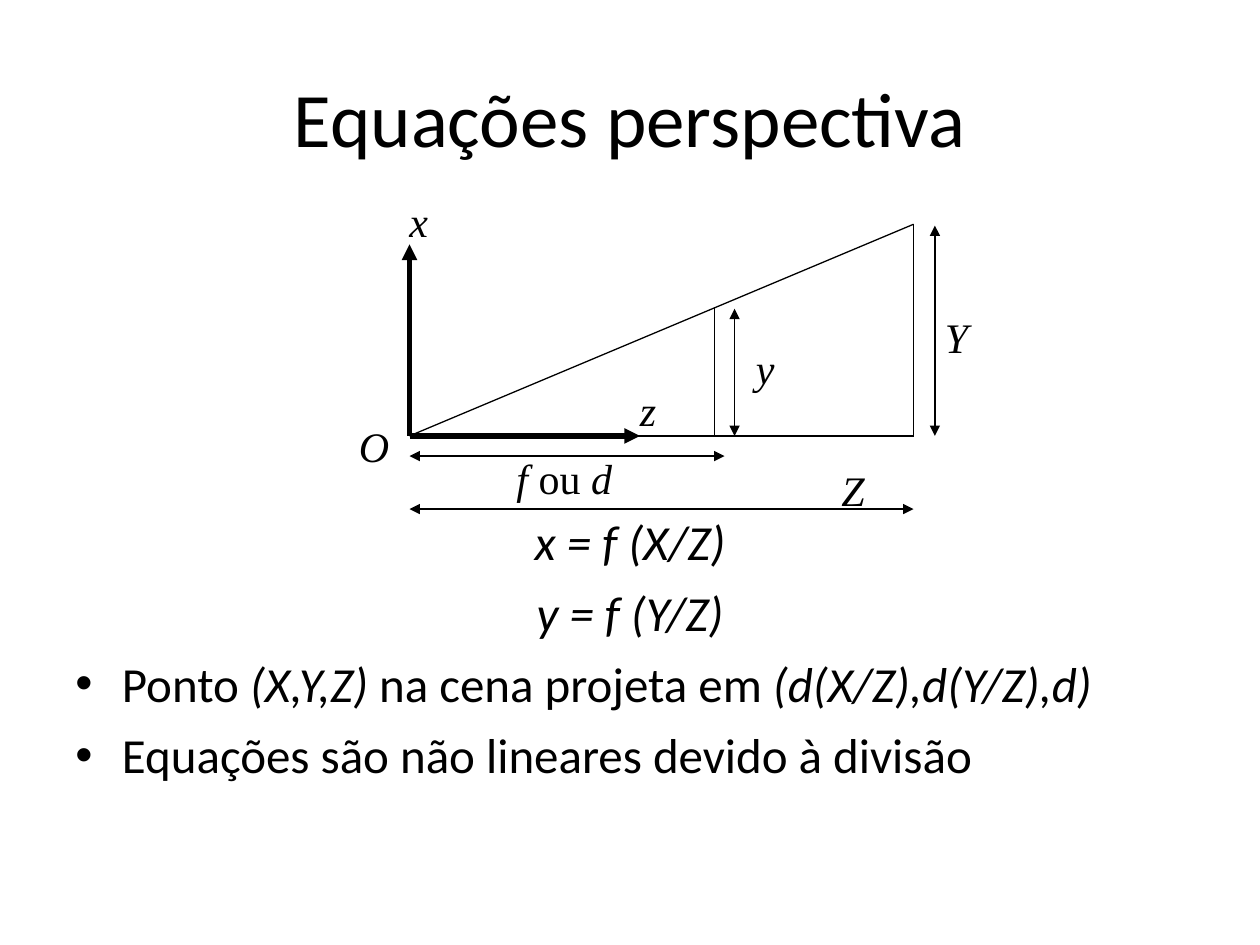
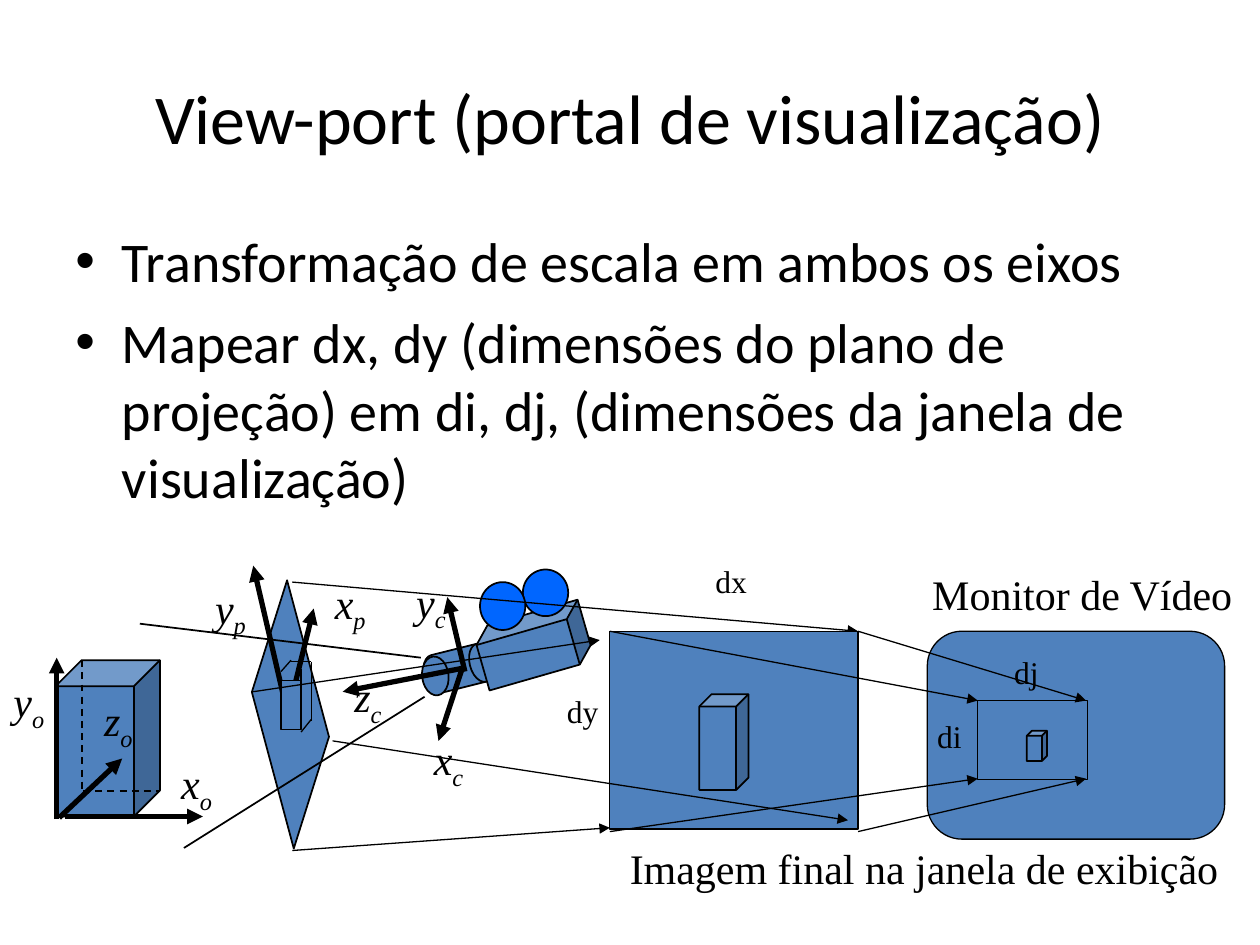
from dataclasses import dataclass
from typing import Union

import pptx
import pptx.dml.color
import pptx.enum.dml
import pptx.enum.shapes
import pptx.enum.text
import pptx.oxml.ns
import pptx.util
from lxml import etree

Inches = pptx.util.Inches
Pt = pptx.util.Pt
Kind = pptx.enum.shapes.MSO_SHAPE
Align = pptx.enum.text.PP_ALIGN
Anchor = pptx.enum.text.MSO_ANCHOR
qn = pptx.oxml.ns.qn

COLORS = {"ink": "000000", "solid": "4F81BD", "reel": "0066FF"}
SANS, SERIF = "Calibri", "Times New Roman"
THIN, EDGE, AXIS = 0.75, 1, 3


@dataclass(frozen=True)
class Span:
    text: str
    italic: bool = False
    subscript: bool = False


@dataclass(frozen=True)
class Line:
    x1: float
    y1: float
    x2: float
    y2: float
    weight: float = THIN
    head: bool = False
    tail: bool = False
    dashed: bool = False


@dataclass(frozen=True)
class Block:
    kind: Kind
    left: float
    top: float
    width: float
    height: float
    weight: float = EDGE
    fill: str = "solid"
    rotation: float = 0
    adjust: float | None = None
    flipped: bool = False


@dataclass(frozen=True)
class Label:
    left: float
    top: float
    width: float
    height: float
    spans: tuple[Span, ...]
    size: float = 24
    centered: bool = False


@dataclass(frozen=True)
class Entry:
    spans: tuple[Span, ...]
    bullet: bool = True


Item = Union[Line, Block, Label]


def color(name: str) -> pptx.dml.color.RGBColor:
    return pptx.dml.color.RGBColor.from_string(COLORS[name])


def write(paragraph, spans: tuple[Span, ...], face: str, size: float) -> None:
    font = paragraph.font
    font.name, font.size = face, Pt(size)
    font.color.rgb = color("ink")
    uniform = len({span.italic for span in spans}) == 1
    if uniform:
        font.italic = spans[0].italic
    for span in spans:
        run = paragraph.add_run()
        run.text = span.text
        if not uniform:
            run.font.italic = span.italic
        if span.subscript:
            run._r.get_or_add_rPr().set("baseline", "-25000")


def add_box(page, left: float, top: float, width: float, height: float):
    box = page.shapes.add_textbox(Inches(left), Inches(top), Inches(width), Inches(height))
    box.text_frame.word_wrap = True
    return box.text_frame


def add_title(page, text: str, size: float) -> None:
    frame = add_box(page, 0.5, 0.3, 9, 1.25)
    frame.vertical_anchor = Anchor.MIDDLE
    frame.paragraphs[0].alignment = Align.CENTER
    write(frame.paragraphs[0], (Span(text),), SANS, size)


def add_body(page, entries: list[Entry], top: float, size: float, gap: float) -> None:
    frame = add_box(page, 0.5, top, 9, 6.7 - top)
    for index, entry in enumerate(entries):
        paragraph = frame.add_paragraph() if index else frame.paragraphs[0]
        if index:
            paragraph.space_before = Pt(gap)
        if entry.bullet:
            properties = paragraph._p.get_or_add_pPr()
            properties.set("marL", str(Inches(0.37)))
            properties.set("indent", str(-Inches(0.37)))
            etree.SubElement(properties, qn("a:buFont")).set("typeface", "Arial")
            etree.SubElement(properties, qn("a:buChar")).set("char", "•")
        else:
            paragraph.alignment = Align.CENTER
        write(paragraph, entry.spans, SANS, size)


def draw_line(page, line: Line) -> None:
    ends = (Inches(value) for value in (line.x1, line.y1, line.x2, line.y2))
    connector = page.shapes.add_connector(pptx.enum.shapes.MSO_CONNECTOR.STRAIGHT, *ends)
    connector.line.color.rgb = color("ink")
    connector.line.width = Pt(line.weight)
    if line.dashed:
        connector.line.dash_style = pptx.enum.dml.MSO_LINE.DASH
    outline = connector.line._get_or_add_ln()
    for shown, tag in ((line.head, "a:headEnd"), (line.tail, "a:tailEnd")):
        if shown:
            etree.SubElement(outline, qn(tag)).set("type", "triangle")
    etree.SubElement(connector._element.spPr, qn("a:effectLst"))


def draw_block(page, block: Block) -> None:
    frame = (Inches(value) for value in (block.left, block.top, block.width, block.height))
    shape = page.shapes.add_shape(block.kind, *frame)
    shape.shadow.inherit = False
    shape.fill.solid()
    shape.fill.fore_color.rgb = color(block.fill)
    shape.line.color.rgb = color("ink")
    shape.line.width = Pt(block.weight)
    shape.rotation = block.rotation
    if block.adjust is not None:
        shape.adjustments[0] = block.adjust
    if block.flipped:
        shape._element.spPr.find(qn("a:xfrm")).set("flipV", "1")


def draw_label(page, label: Label) -> None:
    frame = add_box(page, label.left, label.top, label.width, label.height)
    frame.margin_right = 0
    if label.centered:
        frame.margin_left = 0
        frame.vertical_anchor = Anchor.MIDDLE
        frame.paragraphs[0].alignment = Align.CENTER
    write(frame.paragraphs[0], label.spans, SERIF, label.size)


def draw(page, items: list[Item]) -> None:
    painters = {Line: draw_line, Block: draw_block, Label: draw_label}
    for item in items:
        painters[type(item)](page, item)


def axis(x1: float, y1: float, x2: float, y2: float) -> Line:
    return Line(x1, y1, x2, y2, AXIS, tail=True)


def arrow(x1: float, y1: float, x2: float, y2: float) -> Line:
    return Line(x1, y1, x2, y2, tail=True)


def measure(x1: float, y1: float, x2: float, y2: float) -> Line:
    return Line(x1, y1, x2, y2, head=True, tail=True)


def symbol(left: float, top: float, width: float, letter: str) -> Label:
    return Label(left, top, width, 0.5, (Span(letter, True),))


def axis_name(left: float, top: float, letter: str, frame: str) -> Label:
    spans = (Span(letter, True), Span(frame, True, True))
    return Label(left, top, 0.44, 0.56, spans, centered=True)


def caption(left: float, top: float, width: float, text: str) -> Label:
    return Label(left, top, width, 0.5, (Span(text),))


def size_name(left: float, top: float, width: float, text: str) -> Label:
    return Label(left, top, width, 0.4, (Span(text),), size=18)


def build_equations(page) -> None:
    add_title(page, "Equações perspectiva", 44)
    point = (Span("Ponto "), Span("(X,Y,Z) ", True), Span("na cena projeta em"),
             Span(" (d(X/Z),d(Y/Z),d)", True))
    add_body(page, [
        Entry((Span("x = f (X/Z)", True),), bullet=False),
        Entry((Span("y = f (Y/Z)", True),), bullet=False),
        Entry(point),
        Entry((Span("Equações são não lineares devido à divisão"),)),
    ], top=4.01, size=28, gap=7)
    origin_x, base, image_x, object_x, object_top = 3.25, 3.46, 5.67, 7.25, 1.78
    draw(page, [
        Line(origin_x, base, object_x, base),
        Line(origin_x, base, object_x, object_top),
        Line(object_x, object_top, object_x, base),
        symbol(2.75, 3.29, 0.44, "O"),
        axis(origin_x, base, 5.08, base),
        axis(origin_x, base, origin_x, 1.94),
        symbol(6.58, 3.64, 0.38, "Z"),
        symbol(7.4, 2.42, 0.38, "Y"),
        Line(image_x, base, image_x, 2.44),
        measure(origin_x, 4.04, object_x, 4.04),
        measure(7.42, 1.79, 7.42, base),
        measure(5.83, 2.45, 5.83, base),
        symbol(5.9, 2.67, 0.35, "y"),
        measure(origin_x, 3.62, 5.75, 3.62),
        Label(4, 3.54, 0.96, 0.5, (Span("f ", True), Span("ou"), Span(" d", True))),
        symbol(3.15, 1.5, 0.35, "x"),
        symbol(4.98, 3, 0.33, "z"),
    ])


def build_viewport(page) -> None:
    add_title(page, "View-port (portal de visualização)", 40)
    add_body(page, [
        Entry((Span("Transformação de escala em ambos os eixos"),)),
        Entry((Span("Mapear dx, dy (dimensões do plano de projeção) em di, dj, "
                    "(dimensões da janela de visualização)"),)),
    ], top=1.75, size=32, gap=8)
    projection_plane = Block(Kind.PARALLELOGRAM, 1.27, 5.42, 2.07, 0.5,
                             rotation=75, adjust=1.57, flipped=True)
    scene = [
        projection_plane,
        Block(Kind.CUBE, 0.44, 5.24, 0.83, 1.24, adjust=0.25),
        axis(0.52, 6.48, 1.61, 6.48),
        axis(0.47, 6.49, 0.97, 6.02),
        axis(0.45, 6.5, 0.45, 5.22),
        Line(0.65, 5.24, 0.65, 6.28, EDGE, dashed=True),
        Line(0.66, 6.28, 1.27, 6.28, EDGE, dashed=True),
    ]
    camera = [
        Block(Kind.FLOWCHART_DIRECT_ACCESS_STORAGE, 3.36, 5.15, 0.56, 0.31, rotation=346),
        Block(Kind.OVAL, 3.35, 5.21, 0.21, 0.31, rotation=353),
        Block(Kind.CUBE, 3.8, 4.87, 0.87, 0.5, rotation=344, adjust=0.25),
        Block(Kind.OVAL, 4.15, 4.52, 0.36, 0.37, fill="reel"),
        Block(Kind.OVAL, 3.81, 4.62, 0.36, 0.38, fill="reel"),
        Line(3.37, 5.53, 1.46, 6.73, EDGE),
        Line(3.34, 5.22, 1.11, 4.95, EDGE),
        axis(3.69, 5.3, 2.72, 5.49),
        axis(3.69, 5.33, 3.55, 4.74),
        axis(3.67, 5.3, 3.48, 5.88),
    ]
    names = [axis_name(*place) for place in (
        (1.34, 5.96, "x", "o"), (0.72, 5.46, "z", "o"), (0.01, 5.31, "y", "o"),
        (3.2, 4.52, "y", "c"), (3.34, 5.77, "x", "c"), (2.7, 5.27, "z", "c"),
        (1.61, 4.57, "y", "p"), (2.56, 4.53, "x", "p"))]
    projected_box = [
        axis(2.3, 5.74, 2.01, 4.49),
        axis(2.27, 5.72, 2.49, 4.83),
        Block(Kind.RECTANGLE, 2.23, 5.4, 0.16, 0.39, THIN),
        Line(2.39, 5.81, 2.47, 5.71),
        Line(2.39, 5.41, 2.39, 5.31),
        Line(2.47, 5.25, 2.47, 5.72),
        Line(2.23, 5.33, 2.31, 5.24),
        Line(2.31, 5.25, 2.47, 5.25),
    ]
    screens = [
        arrow(2.32, 4.62, 6.81, 5.01),
        Block(Kind.RECTANGLE, 4.84, 5.01, 1.97, 1.57, THIN),
        Block(Kind.CUBE, 5.55, 5.51, 0.39, 0.76, adjust=0.25),
        Block(Kind.ROUNDED_RECTANGLE, 7.36, 5.01, 2.36, 1.65, THIN, adjust=0.167),
        Block(Kind.RECTANGLE, 7.76, 5.56, 0.87, 0.63, THIN),
        Block(Kind.CUBE, 8.15, 5.8, 0.16, 0.24, adjust=0.25),
    ]
    corner_arrows = [arrow(plane_x, plane_y, window_x, window_y)
                     for plane_x, window_x in ((6.81, 8.62), (4.84, 7.76))
                     for plane_y, window_y in ((5.01, 5.56), (6.6, 6.18))]
    draw(page, scene + camera + names + projected_box + screens + corner_arrows + [
        caption(4.9, 6.64, 5, "Imagem final na janela de exibição"),
        caption(7.3, 4.46, 2.65, "Monitor de Vídeo"),
        arrow(2.01, 5.49, 4.76, 5.08),
        arrow(2.32, 6.75, 4.84, 6.57),
        arrow(2.64, 5.88, 6.73, 6.51),
        size_name(5.58, 4.41, 0.5, "dx"),
        size_name(4.4, 5.44, 0.49, "dy"),
        size_name(7.95, 5.13, 0.43, "dj"),
        size_name(7.34, 5.64, 0.43, "di"),
    ])


def main() -> None:
    deck = pptx.Presentation()
    deck.slide_width, deck.slide_height = Inches(10), Inches(7.5)
    for build in (build_equations, build_viewport):
        build(deck.slides.add_slide(deck.slide_layouts[6]))
    deck.save("out.pptx")


if __name__ == "__main__":
    main()
